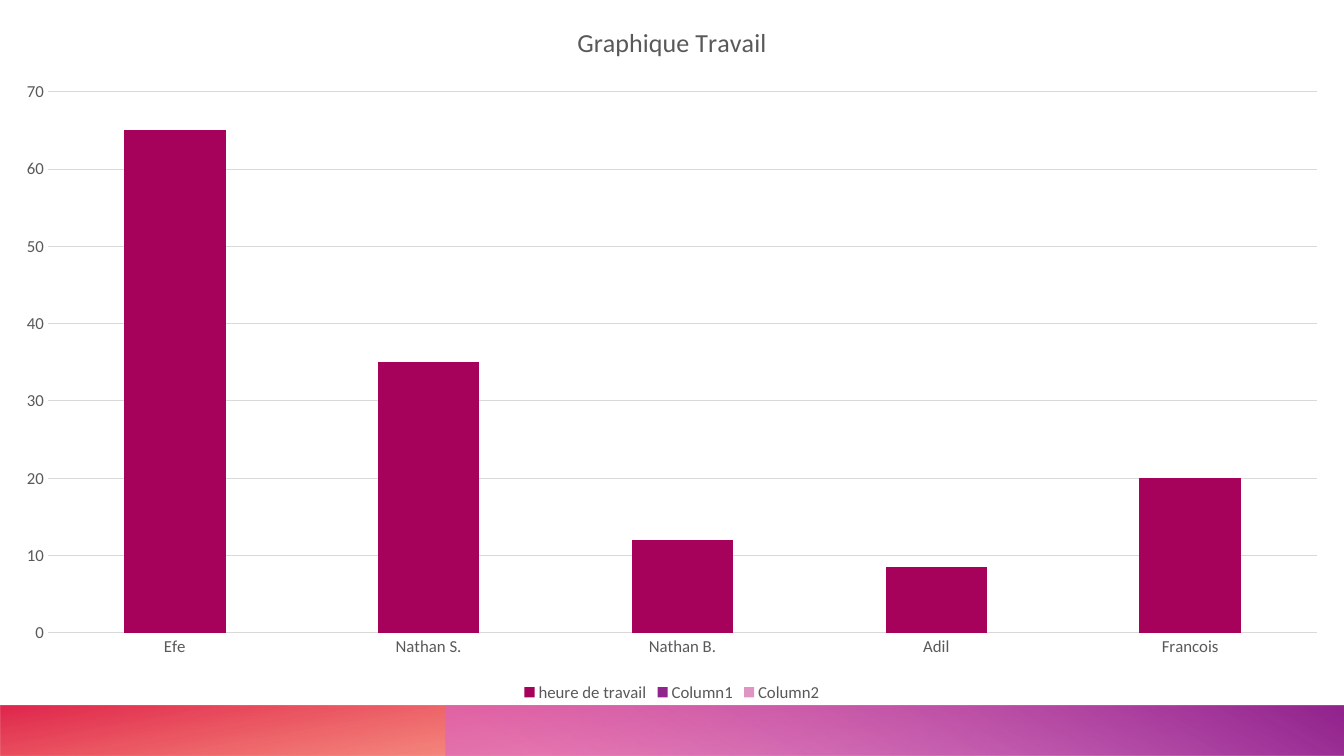
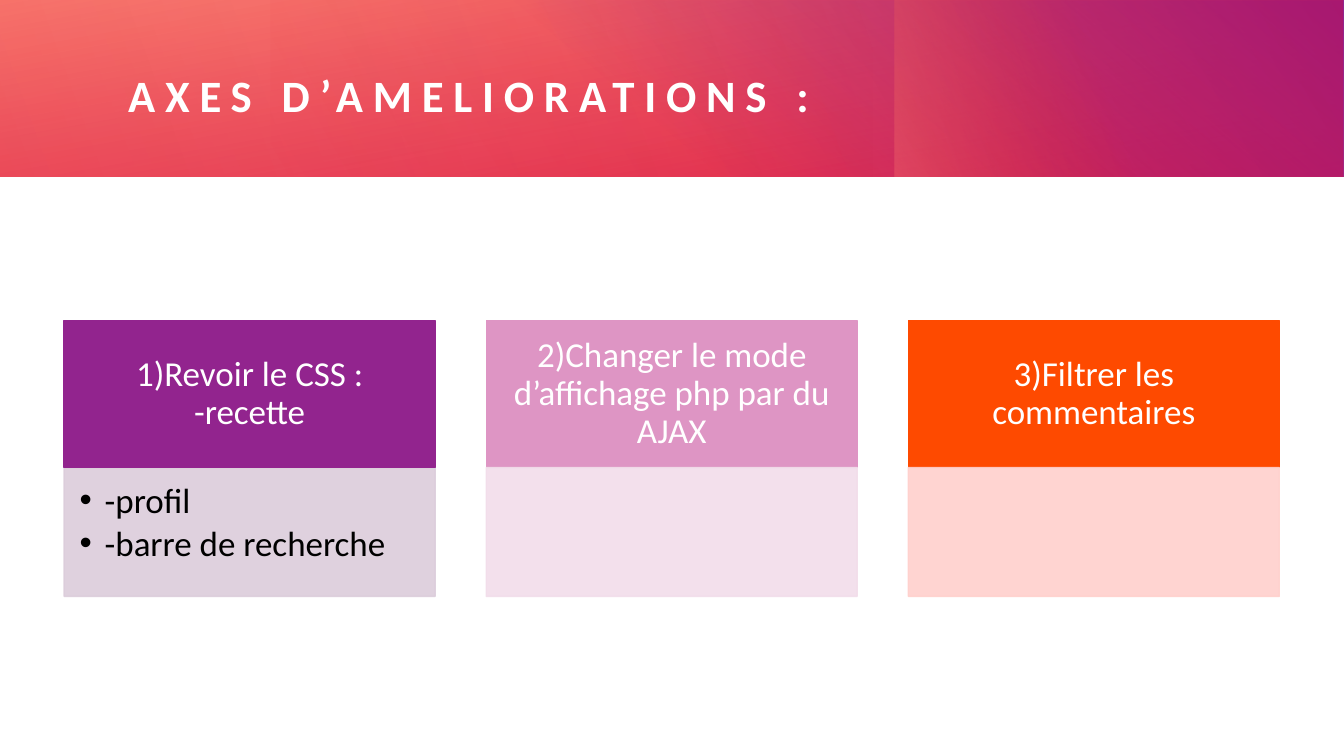
from dataclasses import dataclass

from lxml import etree
from pptx import Presentation
from pptx.chart.data import CategoryChartData
from pptx.dml.color import RGBColor
from pptx.enum.chart import XL_CHART_TYPE, XL_LEGEND_POSITION, XL_TICK_MARK
from pptx.enum.shapes import MSO_SHAPE
from pptx.enum.text import MSO_ANCHOR, MSO_AUTO_SIZE, PP_ALIGN
from pptx.oxml.ns import qn
from pptx.util import Pt

RECTANGLE = MSO_SHAPE.RECTANGLE
COLUMN_STACKED = XL_CHART_TYPE.COLUMN_STACKED
LEGEND_BOTTOM = XL_LEGEND_POSITION.BOTTOM
NO_TICK = XL_TICK_MARK.NONE
MIDDLE, TOP = MSO_ANCHOR.MIDDLE, MSO_ANCHOR.TOP
LEFT, CENTER = PP_ALIGN.LEFT, PP_ALIGN.CENTER
NO_AUTOFIT = MSO_AUTO_SIZE.NONE

SLIDE_WIDTH, SLIDE_HEIGHT = 960, 540
FONT = "Calibri"
WHITE, BLACK, GREY, LIGHT_GREY = "FFFFFF", "000000", "595959", "D9D9D9"
RED, ORANGE, CORAL = "DA002F", "FE4A00", "FF907A"
PURPLE, ORCHID, PINK, MAGENTA = "92248E", "D861D4", "DE95C4", "A6025C"

CARD_LEFT, CARD_TOP, CARD_WIDTH, CARD_STEP = 45.8, 229, 265, 301.5
HEADING_HEIGHT, PANEL_HEIGHT = 105, 92


@dataclass
class Stop:
    position: int
    color: str
    opacity: int = 100


@dataclass
class Band:
    left: float
    top: float
    width: float
    height: float
    angle: int
    stops: tuple[Stop, Stop]
    rotation: int = 0
    flipped: bool = False


@dataclass
class Card:
    heading: str
    color: str
    panel_color: str
    items: tuple[str, ...] = ()


@dataclass
class Series:
    name: str
    color: str
    values: tuple


FOOTER_BANDS = (
    Band(0, 504, SLIDE_WIDTH, 36, 100, (Stop(14, ORANGE, 28), Stop(100, RED, 85)), 180, True),
    Band(318, 504, 642, 36, 240, (Stop(9, ORCHID, 55), Stop(99, PURPLE)), 0, True),
)
HEADER_BANDS = (
    Band(0, 0, SLIDE_WIDTH, 126, 260, (Stop(0, RED, 83), Stop(100, CORAL))),
    Band(346.5, 0.5, 613.5, 125.5, 310, (Stop(22, PURPLE, 0), Stop(99, PURPLE))),
    Band(710.5, -71.5, 126, 269, 250, (Stop(45, ORANGE, 0), Stop(99, CORAL, 33)), 270),
    Band(193, 0, 766, 126, 330, (Stop(0, RED, 30), Stop(99, RED, 0)), 180),
    Band(0, 0, 623, 126, 340, (Stop(0, RED, 21), Stop(99, RED, 0))),
)
CARDS = (
    Card("1)Revoir le CSS : -recette", PURPLE, "DCCDDB", ("-profil", "-barre de recherche")),
    Card("2)Changer le mode d’affichage php par du AJAX", PINK, "F2DDEA"),
    Card("3)Filtrer les commentaires", ORANGE, "FFD0CC"),
)
CATEGORIES = ("Efe", "Nathan S.", "Nathan B.", "Adil", "Francois")
NO_VALUES = (None,) * len(CATEGORIES)
SERIES = (
    Series("heure de travail", MAGENTA, (65, 35, 12, 8.5, 20)),
    Series("Column1", PURPLE, NO_VALUES),
    Series("Column2", PINK, NO_VALUES),
)


def rgb(color: str) -> RGBColor:
    return RGBColor.from_string(color)


def style_font(font, size: float, color: str, bold: bool = False) -> None:
    font.name, font.size, font.bold = FONT, Pt(size), bold
    font.color.rgb = rgb(color)


def place(shape, left: float, top: float, width: float, height: float) -> None:
    shape.left, shape.top = Pt(left), Pt(top)
    shape.width, shape.height = Pt(width), Pt(height)


def add_rectangle(slide, left: float, top: float, width: float, height: float):
    shape = slide.shapes.add_shape(RECTANGLE, Pt(left), Pt(top), Pt(width), Pt(height))
    shape.shadow.inherit = False
    return shape


def set_margins(text_frame, left: float, top: float, right: float, bottom: float) -> None:
    text_frame.margin_left, text_frame.margin_top = Pt(left), Pt(top)
    text_frame.margin_right, text_frame.margin_bottom = Pt(right), Pt(bottom)
    text_frame.word_wrap = True
    text_frame.auto_size = NO_AUTOFIT


def add_opacity(color_element, opacity: int) -> None:
    etree.SubElement(color_element, qn("a:alpha"), val=str(opacity * 1000))


def add_band(slide, band: Band) -> None:
    shape = add_rectangle(slide, band.left, band.top, band.width, band.height)
    shape.line.fill.background()
    shape.rotation = band.rotation
    properties = shape.element.spPr
    if band.flipped:
        properties.find(qn("a:xfrm")).set("flipH", "1")
    gradient = etree.Element(qn("a:gradFill"), rotWithShape="1")
    stop_list = etree.SubElement(gradient, qn("a:gsLst"))
    for stop in band.stops:
        item = etree.SubElement(stop_list, qn("a:gs"), pos=str(stop.position * 1000))
        add_opacity(etree.SubElement(item, qn("a:srgbClr"), val=stop.color), stop.opacity)
    etree.SubElement(gradient, qn("a:lin"), ang=str(band.angle * 60000), scaled="0")
    properties.find(qn("a:prstGeom")).addnext(gradient)


def paint(shape, color: str, opacity: int = 100) -> None:
    """Give a box the same colour for fill and outline."""
    shape.fill.solid()
    shape.fill.fore_color.rgb = rgb(color)
    shape.line.color.rgb = rgb(color)
    shape.line.width = Pt(1)
    if opacity < 100:
        for color_element in shape.element.spPr.iter(qn("a:srgbClr")):
            add_opacity(color_element, opacity)


def fill_list(text_frame, items: tuple[str, ...]) -> None:
    set_margins(text_frame, 11, 11, 14, 16)
    text_frame.vertical_anchor = TOP
    text_frame.text = "\n".join(items)
    for paragraph in text_frame.paragraphs:
        paragraph.line_spacing = 0.9
        paragraph.space_before, paragraph.space_after = Pt(0), Pt(3.75)
        properties = paragraph._p.get_or_add_pPr()
        properties.set("marL", str(Pt(18)))
        properties.set("indent", str(Pt(-18)))
        etree.SubElement(properties, qn("a:buChar"), char="•")
        style_font(paragraph.runs[0].font, 25, BLACK)


def add_card(slide, card: Card, left: float, body) -> None:
    heading = add_rectangle(slide, left, CARD_TOP, CARD_WIDTH, HEADING_HEIGHT)
    paint(heading, card.color)
    text_frame = heading.text_frame
    set_margins(text_frame, 14, 8, 14, 8)
    text_frame.vertical_anchor = MIDDLE
    text_frame.text = card.heading
    paragraph = text_frame.paragraphs[0]
    paragraph.alignment, paragraph.line_spacing = CENTER, 0.9
    style_font(paragraph.runs[0].font, 25, WHITE)

    panel_box = (left, CARD_TOP + HEADING_HEIGHT, CARD_WIDTH, PANEL_HEIGHT)
    if card.items:
        panel = body
        place(panel, *panel_box)
        fill_list(panel.text_frame, card.items)
    else:
        panel = add_rectangle(slide, *panel_box)
    paint(panel, card.panel_color, 90)


def set_title(slide, text: str) -> None:
    title = slide.shapes.title
    title.element.getparent().append(title.element)  # in front of the bands
    place(title, 91.5, 29.5, 817, 76.5)
    set_margins(title.text_frame, 0, 0, 0, 0)
    title.text_frame.vertical_anchor = MIDDLE
    title.text_frame.text = text
    paragraph = title.text_frame.paragraphs[0]
    paragraph.alignment = LEFT
    run = paragraph.runs[0]
    style_font(run.font, 32, WHITE, bold=True)
    run.font._element.set("spc", "700")


def style_axis(axis) -> None:
    axis.major_tick_mark = axis.minor_tick_mark = NO_TICK
    style_font(axis.tick_labels.font, 12, GREY)


def style_line(line) -> None:
    line.color.rgb = rgb(LIGHT_GREY)
    line.width = Pt(0.75)


def add_work_chart(slide) -> None:
    data = CategoryChartData()
    data.categories = CATEGORIES
    for series in SERIES:
        data.add_series(series.name, series.values)
    chart = slide.shapes.add_chart(
        COLUMN_STACKED, Pt(0), Pt(0), Pt(SLIDE_WIDTH), Pt(504.5), data
    ).chart
    style_font(chart.font, 10, BLACK)

    # Title and legend
    title_frame = chart.chart_title.text_frame
    title_frame.text = "Graphique Travail"
    style_font(title_frame.paragraphs[0].runs[0].font, 18.6, GREY)
    chart.has_legend = True
    chart.legend.position = LEGEND_BOTTOM
    chart.legend.include_in_layout = False
    style_font(chart.legend.font, 12, GREY)

    # Axes
    style_axis(chart.category_axis)
    style_line(chart.category_axis.format.line)
    style_axis(chart.value_axis)
    chart.value_axis.format.line.fill.background()
    style_line(chart.value_axis.major_gridlines.format.line)

    # Columns
    plot = chart.plots[0]
    plot.gap_width, plot.overlap, plot.vary_by_categories = 150, 100, False
    for column, series in zip(plot.series, SERIES):
        column.format.fill.solid()
        column.format.fill.fore_color.rgb = rgb(series.color)


def build_chart_slide(presentation) -> None:
    slide = presentation.slides.add_slide(presentation.slide_layouts.get_by_name("Blank"))
    for band in FOOTER_BANDS:
        add_band(slide, band)
    add_work_chart(slide)


def build_improvements_slide(presentation) -> None:
    layout = presentation.slide_layouts.get_by_name("Title and Content")
    slide = presentation.slides.add_slide(layout)
    body = slide.placeholders[1]
    for band in HEADER_BANDS:
        add_band(slide, band)
    set_title(slide, "AXES D’AMELIORATIONS :")
    for index, card in enumerate(CARDS):
        add_card(slide, card, CARD_LEFT + index * CARD_STEP, body)


def main() -> None:
    presentation = Presentation()
    presentation.slide_width, presentation.slide_height = Pt(SLIDE_WIDTH), Pt(SLIDE_HEIGHT)
    build_chart_slide(presentation)
    build_improvements_slide(presentation)
    presentation.save("out.pptx")


if __name__ == "__main__":
    main()
